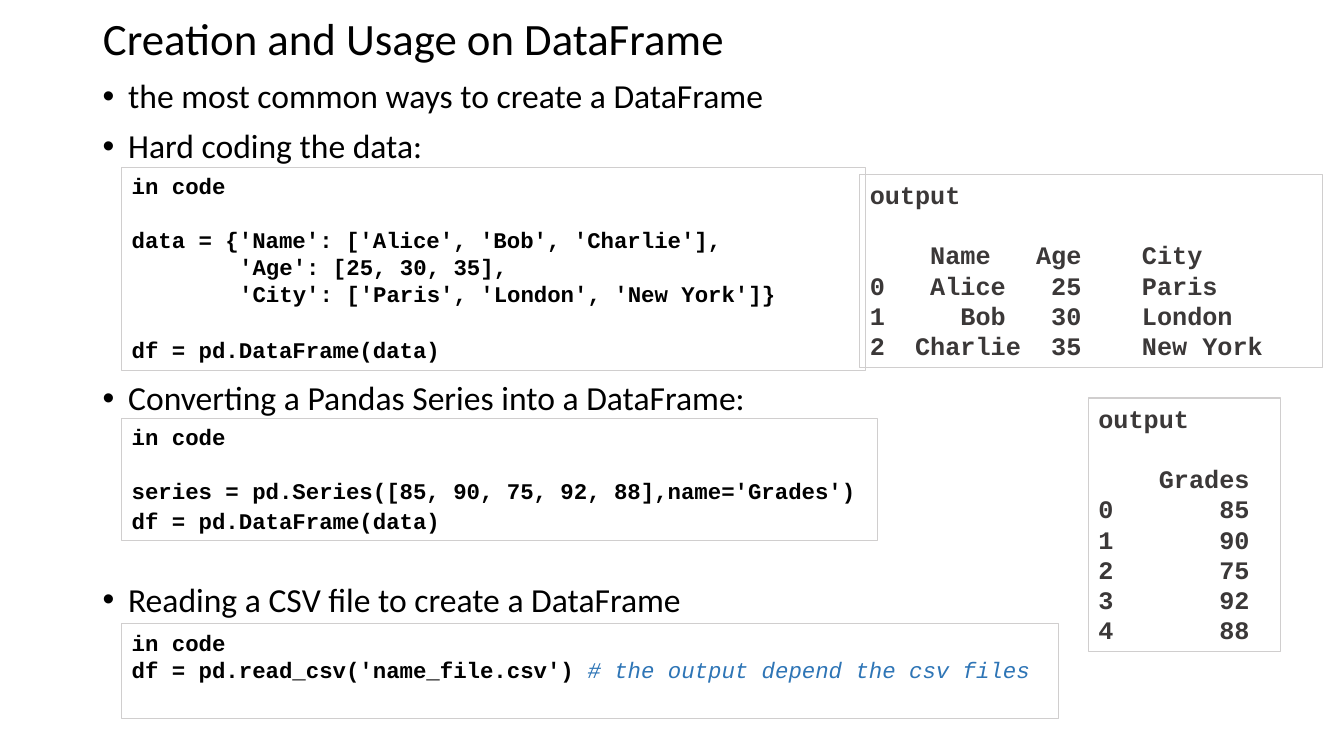
from collections import namedtuple

from lxml import etree
from pptx import Presentation
from pptx import util as u
from pptx.dml import color
from pptx.enum import shapes, text
from pptx.oxml import ns

BLACK, GREY, BORDER, BLUE = "000000", "3B3838", "D0CECE", "2E75B6"
CODE_SIZE, OUTPUT_SIZE = 16, 18
LINE_HEIGHT = 1.2
CHAR_WIDTH = 0.6
BULLET_PITCH = 36

# cells: (column in characters, text); gap: points above the line
Line = namedtuple("Line", "cells gap comment", defaults=(0, ""))


def rgb(hex_code):
    return color.RGBColor.from_string(hex_code)


def cm_box(left, top, width, height):
    return u.Cm(left), u.Cm(top), u.Cm(width), u.Cm(height)


def set_font(font, name, size, hex_code, bold=False):
    font.name, font.size, font.bold = name, u.Pt(size), bold
    font.color.rgb = rgb(hex_code)


def add_title(slide, box, wording):
    title = slide.shapes.title
    title.left, title.top, title.width, title.height = box
    frame = title.text_frame
    frame.text = wording
    frame.auto_size = text.MSO_AUTO_SIZE.NONE
    frame.vertical_anchor = text.MSO_ANCHOR.MIDDLE
    paragraph = frame.paragraphs[0]
    paragraph.alignment = text.PP_ALIGN.LEFT
    paragraph.line_spacing = 0.9
    set_font(paragraph.font, "Calibri", 32, BLACK)


def add_bullets(slide, box, bullets):
    """Each bullet is its wording and the number of rows kept free above it."""
    frame = slide.shapes.add_textbox(*box).text_frame
    frame.word_wrap = True
    for index, (wording, free_rows) in enumerate(bullets):
        paragraph = frame.add_paragraph() if index else frame.paragraphs[0]
        paragraph.text = wording
        paragraph.line_spacing = 0.9
        paragraph.space_before = u.Pt(10 + free_rows * BULLET_PITCH if index else 0)
        properties = paragraph._p.get_or_add_pPr()
        properties.set("marL", str(u.Cm(0.64)))
        properties.set("indent", str(-u.Cm(0.64)))
        etree.SubElement(properties, ns.qn("a:buFont"), typeface="Arial")
        etree.SubElement(properties, ns.qn("a:buChar"), char="•")
        set_font(paragraph.font, "Calibri", 24, BLACK)


def add_tab_stops(paragraph, columns, size):
    tabs = etree.SubElement(paragraph._p.get_or_add_pPr(), ns.qn("a:tabLst"))
    for column in columns:
        position = u.Pt(column * CHAR_WIDTH * size)
        etree.SubElement(tabs, ns.qn("a:tab"), pos=str(position), algn="l")


def add_listing(slide, box, lines, size, hex_code):
    """Framed monospaced text whose cells start at character columns."""
    panel = slide.shapes.add_shape(shapes.MSO_SHAPE.RECTANGLE, *box)
    panel.shadow.inherit = False
    panel.fill.background()
    panel.line.color.rgb = rgb(BORDER)
    panel.line.width = u.Pt(0.75)
    frame = panel.text_frame
    frame.word_wrap = True
    frame.vertical_anchor = text.MSO_ANCHOR.TOP
    for index, line in enumerate(lines):
        paragraph = frame.add_paragraph() if index else frame.paragraphs[0]
        paragraph.alignment = text.PP_ALIGN.LEFT
        paragraph.line_spacing = u.Pt(size * LINE_HEIGHT)
        paragraph.space_before = u.Pt(line.gap)
        columns = [column for column, _ in line.cells if column]
        if columns:
            add_tab_stops(paragraph, columns, size)
        set_font(paragraph.font, "Courier New", size, hex_code, bold=True)
        paragraph.add_run().text = "".join(
            ("\t" if column else "") + wording for column, wording in line.cells)
        if line.comment:
            comment = paragraph.add_run()
            comment.text = line.comment
            set_font(comment.font, "Courier New", size, BLUE)
            comment.font.italic = True


def add_code(slide, box, lines):
    add_listing(slide, box, [Line([(0, "in code")]), *lines], CODE_SIZE, BLACK)


def add_output(slide, box, header, rows):
    lines = [Line([(0, "output")]), Line(header, OUTPUT_SIZE * LINE_HEIGHT)]
    lines += [Line([(0, str(index)), *cells]) for index, cells in enumerate(rows)]
    add_listing(slide, box, lines, OUTPUT_SIZE, GREY)


def build_dataframe_slide(slide):
    add_title(slide, cm_box(2.34, 0.2, 29.21, 1.65), "Creation and Usage on DataFrame")
    add_bullets(slide, cm_box(2.34, 1.88, 29.21, 16.26), [
        ("the most common ways to create a DataFrame", 0),
        ("Hard coding the data:", 0),
        ("Converting a Pandas Series into a DataFrame:", 4),
        ("Reading a CSV file to create a DataFrame", 3),
    ])

    blank_line = CODE_SIZE * LINE_HEIGHT
    add_code(slide, cm_box(3.07, 4.22, 18.75, 5.13), [
        Line([(0, "data = {'Name': ['Alice', 'Bob', 'Charlie'],")], blank_line),
        Line([(8, "'Age': [25, 30, 35],")]),
        Line([(8, "'City': ['Paris', 'London', 'New York']}")]),
        Line([(0, "df = pd.DataFrame(data)")], blank_line + 2),
    ])
    add_output(slide, cm_box(21.67, 4.39, 11.66, 4.88),
               [(4, "Name"), (11, "Age"), (18, "City")],
               [[(4, "Alice"), (12, "25"), (18, "Paris")],
                [(6, "Bob"), (12, "30"), (18, "London")],
                [(3, "Charlie"), (12, "35"), (18, "New York")]])

    add_code(slide, cm_box(3.07, 10.54, 19.05, 3.07), [
        Line([(0, "series = pd.Series([85, 90, 75, 92, 88],name='Grades')")], blank_line),
        Line([(0, "df = pd.DataFrame(data)")], 2),
    ])
    add_output(slide, cm_box(27.43, 10.03, 4.83, 6.4), [(4, "Grades")],
               [[(8, str(grade))] for grade in (85, 90, 75, 92, 88)])

    add_code(slide, cm_box(3.07, 15.72, 23.6, 2.39), [
        Line([(0, "df = pd.read_csv('name_file.csv') ")],
             comment="# the output depend the csv files"),
    ])


def main():
    deck = Presentation()
    deck.slide_width, deck.slide_height = u.Cm(33.87), u.Cm(19.05)
    title_only = deck.slide_layouts[5]
    build_dataframe_slide(deck.slides.add_slide(title_only))
    deck.save("out.pptx")


if __name__ == "__main__":
    main()
